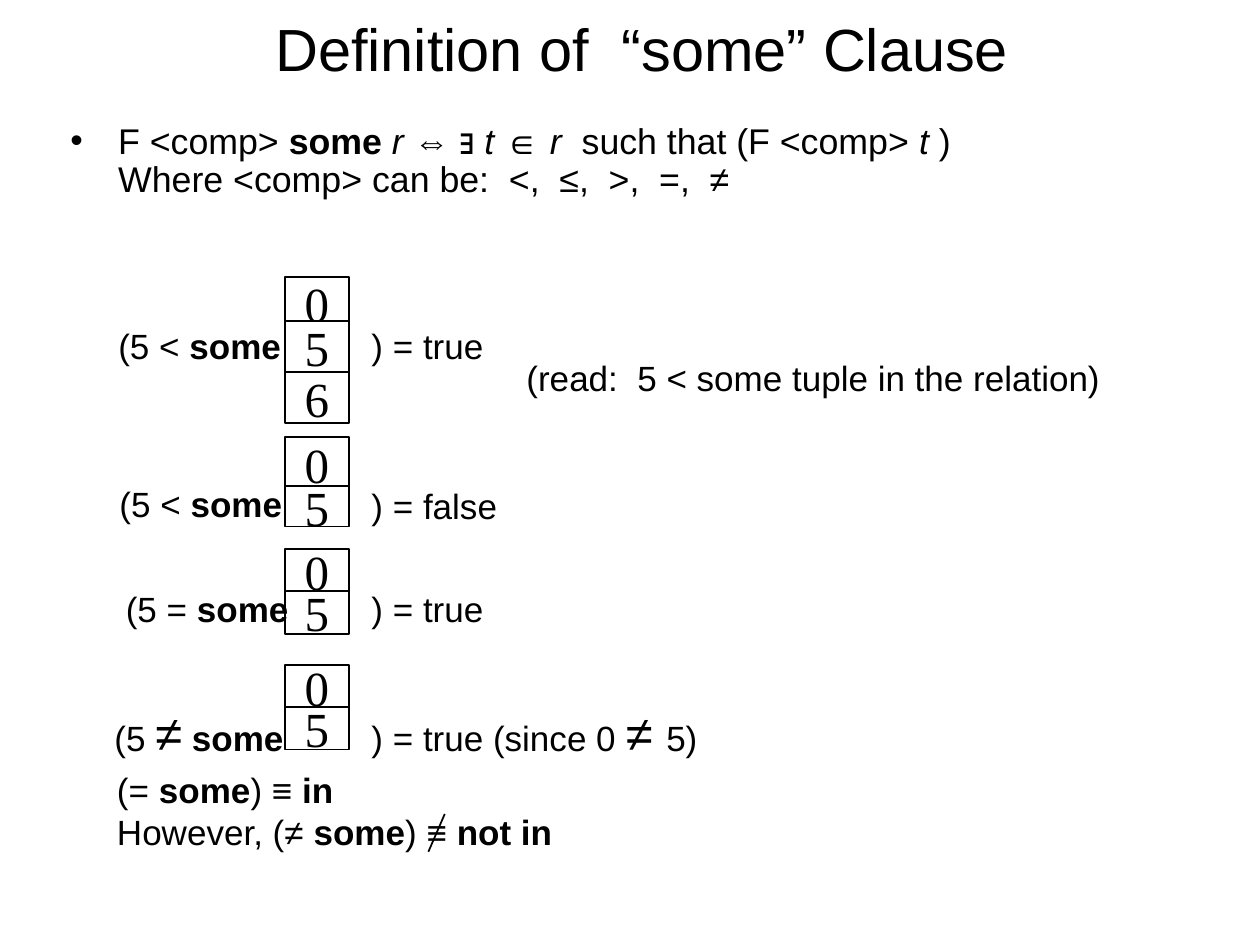
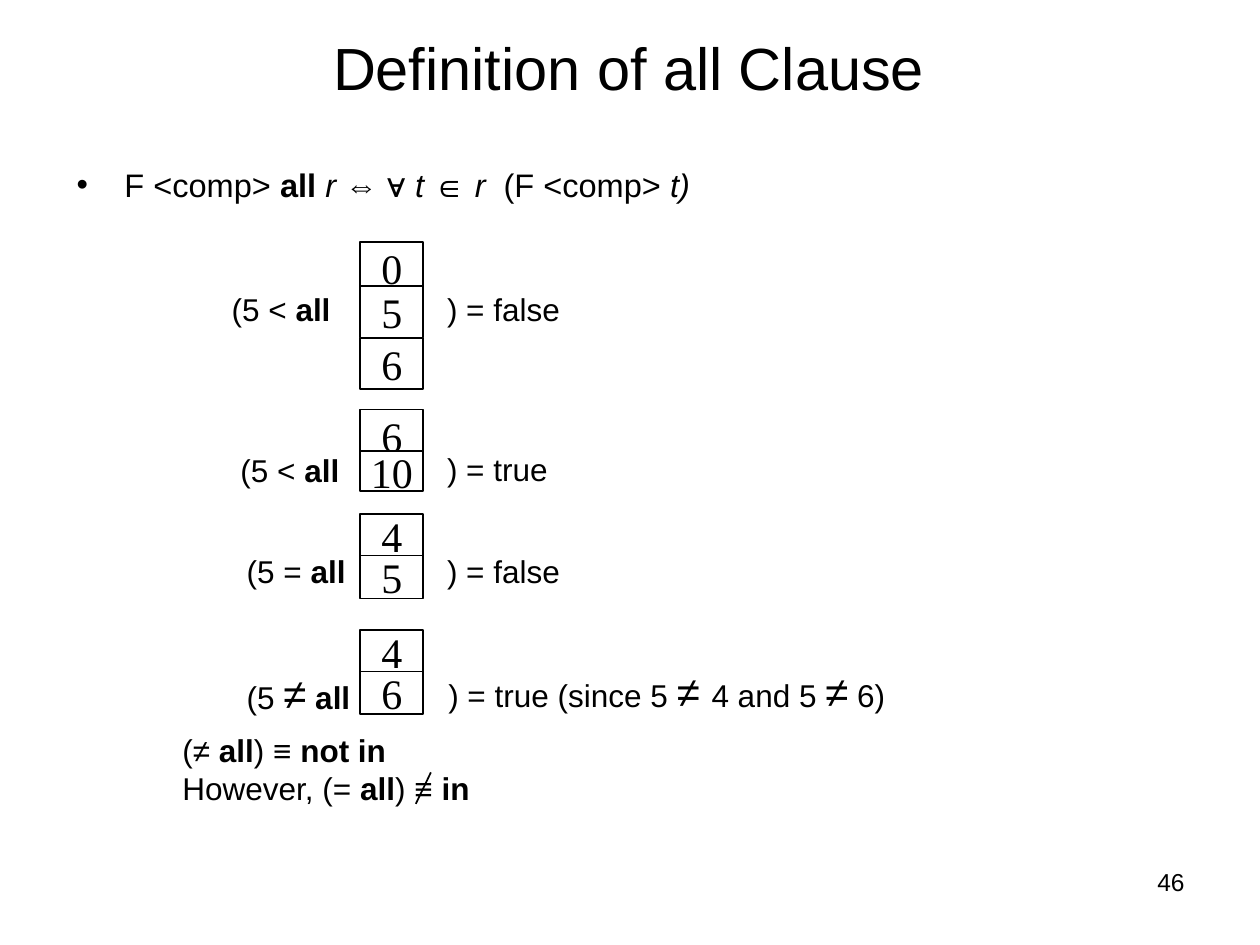
"""Two slides that define the some and all clauses with worked cases."""
from lxml import etree
from pptx import Presentation
from pptx import util as u
from pptx.dml.color import RGBColor
from pptx.enum import shapes, text
from pptx.oxml.ns import qn

BLACK = RGBColor(0, 0, 0)
WHITE = RGBColor(255, 255, 255)
SANS = "Arial"
SERIF = "Times New Roman"
LEFT, MID, RIGHT = text.PP_ALIGN.LEFT, text.PP_ALIGN.CENTER, text.PP_ALIGN.RIGHT


class Deck:
    def __init__(self):
        self.prs = Presentation()
        self.prs.slide_width = u.Inches(10)
        self.prs.slide_height = u.Inches(7.5)

    def start(self, title, box, size, big):
        self.size, self.big = size, big
        self.slide = self.prs.slides.add_slide(self.prs.slide_layouts[5])
        head = self.slide.shapes.title
        head.left, head.top, head.width, head.height = map(u.Inches, box)
        frame = head.text_frame
        frame.auto_size = text.MSO_AUTO_SIZE.NONE
        frame.vertical_anchor = text.MSO_ANCHOR.MIDDLE
        self.put(frame, [title], 34, MID)

    def put(self, frame, lines, size, align=LEFT, face=SANS):
        frame.text = "\n".join("" for line in lines)
        for para, line in zip(frame.paragraphs, lines):
            para.alignment = align
            for part in line.split("|"):
                if part == "\n":
                    para.add_line_break()
                    continue
                mark = part[0] if part[0] in "*/^" else ""
                run = para.add_run()
                run.text = part[len(mark):]
                font = run.font
                font.name, font.color.rgb = face, BLACK
                font.size = u.Pt(self.big if mark == "^" else size)
                font.bold, font.italic = mark == "*", mark == "/"

    def label(self, box, lines, size=None, align=LEFT):
        frame = self.slide.shapes.add_textbox(*map(u.Inches, box)).text_frame
        frame.word_wrap = True
        self.put(frame, lines, size or self.size, align)
        return frame

    def bullet(self, box, line, size, space=1.0):
        para = self.label(box, [line], size).paragraphs[0]
        para.line_spacing = space
        props = para._p.get_or_add_pPr()
        props.set("marL", str(u.Inches(0.38)))
        props.set("indent", str(-u.Inches(0.38)))
        etree.SubElement(props, qn("a:buFont"), typeface=SANS)
        etree.SubElement(props, qn("a:buChar"), char="•")

    def cell(self, box, value):
        rect = self.slide.shapes.add_shape(
            shapes.MSO_SHAPE.RECTANGLE, *map(u.Inches, box))
        rect.shadow.inherit = False
        rect.fill.solid()
        rect.fill.fore_color.rgb = WHITE
        rect.line.color.rgb = BLACK
        rect.line.width = u.Pt(1)
        frame = rect.text_frame
        frame.word_wrap = False
        frame.vertical_anchor = text.MSO_ANCHOR.MIDDLE
        self.put(frame, [value], self.big, MID, SERIF)

    def case(self, left, width, cells, term, result):
        for value, top, height in cells:
            self.cell((left, top, width, height), value)
        for box, line in (term, result):
            self.label(box, [line])

    def slash(self, *ends):
        line = self.slide.shapes.add_connector(
            shapes.MSO_CONNECTOR.STRAIGHT, *map(u.Inches, ends))
        line.line.color.rgb = BLACK
        line.line.width = u.Pt(1)
        etree.SubElement(line._element.spPr, qn("a:effectLst"))


def pair(top, first, second):
    return [(first, top, 0.34), (second, top + 0.33, 0.34)]


def some(deck):
    deck.start("Definition of  “some” Clause", (0.68, 0.04, 8.83, 0.67), 20, 28)
    deck.bullet(
        (0.46, 0.93, 9.54, 0.78),
        "F <comp> |*some |/r |⇔ ∃ |/t |∈ |/r  |such that (F <comp> |/t |)|\n|"
        "Where <comp> can be:  <,  ≤,  >,  =,  ≠", 20.4, 0.9)
    cases = [
        ([("0", 2.2, 0.41), ("5", 2.55, 0.41), ("6", 2.95, 0.41)],
         ((0.84, 2.53, 1.51, 0.44), "(5 < |*some"),
         ((2.85, 2.53, 1.23, 0.44), ") = true")),
        ([("0", 3.47, 0.42), ("5", 3.86, 0.32)],
         ((0.85, 3.78, 1.54, 0.44), "(5 < |*some"),
         ((2.85, 3.8, 1.36, 0.44), ") = false")),
        (pair(4.36, "0", "5"),
         ((0.9, 4.61, 1.7, 0.44), "(5 = |*some"),
         ((2.85, 4.61, 1.36, 0.44), ") = true")),
        (pair(5.28, "0", "5"),
         ((0.81, 5.53, 1.61, 0.9), "(5 |^≠| |*some"),
         ((2.85, 5.53, 2.8, 0.9), ") = true (since 0 |^≠ |5)")),
    ]
    for case in cases:
        deck.case(2.26, 0.51, *case)
    deck.label((4.08, 2.78, 5.44, 0.44), ["(read:  5 < some tuple in the relation)"])
    deck.label((0.83, 6.05, 7.58, 0.78),
               ["(= |*some|) ≡ |*in", "However, (≠ |*some|) ≡ |*not in"])
    deck.slash(3.53, 6.46, 3.4, 6.76)


def every(deck):
    deck.start("Definition of all Clause", (0.49, 0, 9, 1.06), 18, 24)
    deck.label((7.17, 6.83, 2.33, 0.52), ["46"], 14, RIGHT)
    deck.bullet(
        (0.51, 1.26, 7.8, 0.43),
        "F <comp> |*all |/r |⇔ ∀ |/t |∈ |/r | (F <comp> |/t)", 18.6)
    cases = [
        ([("0", 1.92, 0.41), ("5", 2.27, 0.41), ("6", 2.68, 0.41)],
         ((1.74, 2.25, 1.33, 0.4), "(5 < |*all"),
         ((3.45, 2.25, 1.33, 0.4), ") = false")),
        ([("6", 3.25, 0.42), ("10", 3.58, 0.32)],
         ((1.81, 3.53, 1.33, 0.4), "(5 < |*all"),
         ((3.45, 3.52, 1.33, 0.4), ") = true")),
        (pair(4.08, "4", "5"),
         ((1.86, 4.33, 1.33, 0.4), "(5 = |*all"),
         ((3.45, 4.33, 1.33, 0.4), ") = false")),
        (pair(5, "4", "6"),
         ((1.86, 5.25, 1.83, 0.5), "(5 |^≠| |*all"),
         ((3.46, 5.23, 5, 0.5), ") = true (since 5 |^≠ |4 and 5 |^≠| 6)")),
    ]
    for case in cases:
        deck.case(2.86, 0.5, *case)
    deck.label((1.35, 5.75, 7.44, 0.78),
               ["(≠ |*all|) ≡ |*not in", "However, (= |*all|) ≡ |*in"])
    deck.slash(3.42, 6.13, 3.3, 6.38)


def main():
    deck = Deck()
    some(deck)
    every(deck)
    deck.prs.save("out.pptx")


if __name__ == "__main__":
    main()
